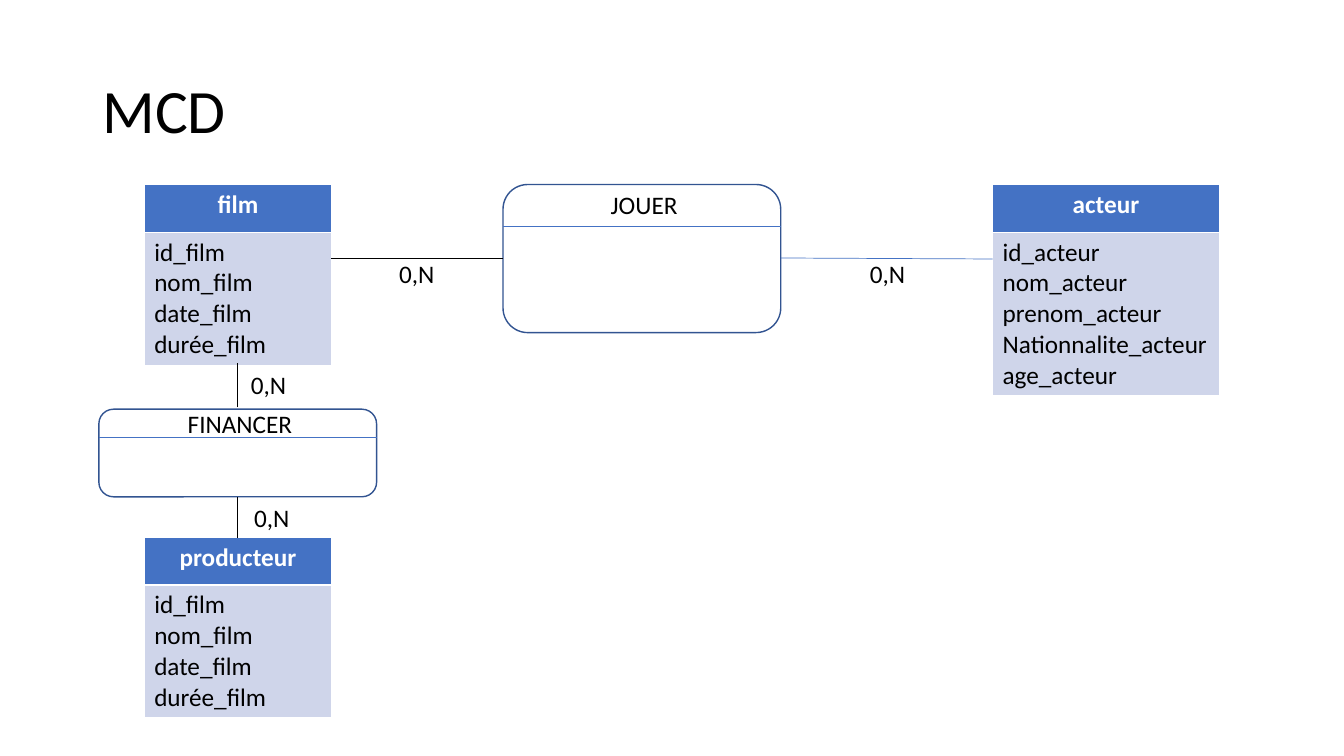
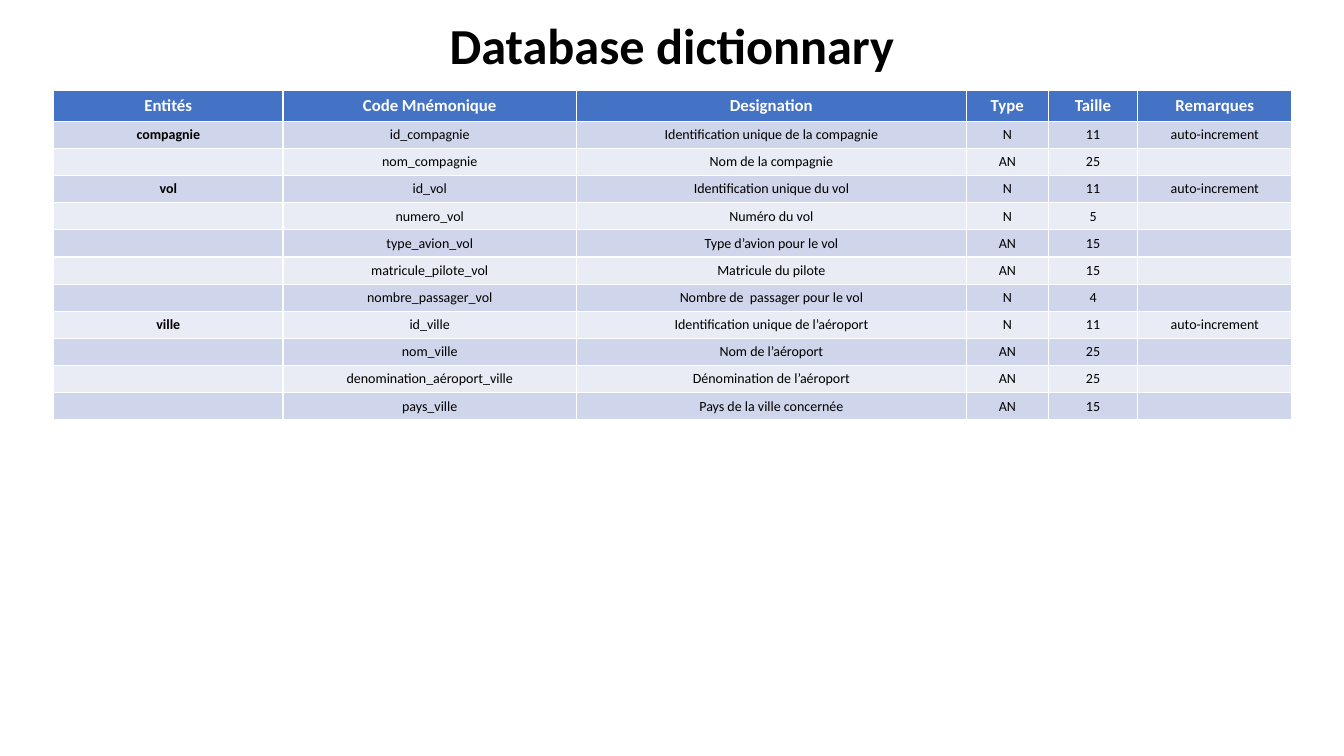
from dataclasses import dataclass

from pptx import Presentation
from pptx.dml.color import RGBColor as RGB
from pptx.enum.shapes import MSO_CONNECTOR as CONNECTOR, MSO_SHAPE as SHAPE
from pptx.enum.text import MSO_ANCHOR as ANCHOR, MSO_AUTO_SIZE as AUTO_SIZE, PP_ALIGN as ALIGN
from pptx.oxml.xmlchemy import OxmlElement
from pptx.util import Pt


@dataclass(frozen=True)
class Theme:
    font: str = "Calibri"
    black: RGB = RGB(0, 0, 0)
    white: RGB = RGB(255, 255, 255)
    blue: RGB = RGB(0x44, 0x72, 0xC4)
    outline: RGB = RGB(0x32, 0x54, 0x91)
    bands: tuple = (RGB(0xCF, 0xD5, 0xEA), RGB(0xE9, 0xEB, 0xF5))
    title: int = 44
    dictionary_title: int = 36
    diagram: int = 18
    heading: int = 12
    cell: int = 10


THEME = Theme()

# Content: model diagram, positions in points
FILM_FIELDS = ["id_film", "nom_film", "date_film", "durée_film"]
ACTEUR_FIELDS = ["id_acteur", "nom_acteur", "prenom_acteur", "Nationnalite_acteur", "age_acteur"]
ENTITIES = [  # name, fields, left, top, width
    ("film", FILM_FIELDS, 103, 132, 134),
    ("acteur", ACTEUR_FIELDS, 709, 132, 162),
    ("producteur", FILM_FIELDS, 103, 384, 134),
]
RELATIONS = [  # name, left, top, height, divider offset, name offset
    ("JOUER", 359.3, 131.8, 105.8, 30.2, 0),
    ("FINANCER", 70.6, 292.3, 62.6, 20.2, -4.3),
]
RELATION_WIDTH, NAME_WIDTH, NAME_INSET = 198.4, 171.4, 15.1
LINKS = [  # start, end, colour
    ((359.3, 184.3), (236.5, 184.3), THEME.black),
    ((558, 184.3), (709, 185), THEME.blue),
    ((169.2, 384), (169.2, 355), THEME.black),
    ((169.2, 291), (169.2, 259), THEME.black),
]
CARDINALITY = "0,N"
CARDINALITY_SPOTS = [(275, 180.7), (611.3, 180.7), (169.2, 260.6), (171.4, 355)]
CARDINALITY_WIDTH, LABEL_HEIGHT = 45.4, 29

# Content: data dictionary
HEADINGS = ["Entités", "Code Mnémonique", "Designation", "Type", "Taille", "Remarques"]
COLUMN_WIDTHS = [164, 209.5, 278.6, 58.5, 64, 110]
AUTO = "auto-increment"
DICTIONARY = {
    "compagnie": [
        ("id_compagnie", "Identification unique de la compagnie", "N", "11", AUTO),
        ("nom_compagnie", "Nom de la compagnie", "AN", "25", ""),
    ],
    "vol": [
        ("id_vol", "Identification unique du vol", "N", "11", AUTO),
        ("numero_vol", "Numéro du vol", "N", "5", ""),
        ("type_avion_vol", "Type d’avion pour le vol", "AN", "15", ""),
        ("matricule_pilote_vol", "Matricule du pilote", "AN", "15", ""),
        ("nombre_passager_vol", "Nombre de  passager pour le vol", "N", "4", ""),
    ],
    "ville": [
        ("id_ville", "Identification unique de l’aéroport", "N", "11", AUTO),
        ("nom_ville", "Nom de l’aéroport", "AN", "25", ""),
        ("denomination_aéroport_ville", "Dénomination de l’aéroport", "AN", "25", ""),
        ("pays_ville", "Pays de la ville concernée", "AN", "15", ""),
    ],
}


# Shared helpers
def set_text(frame, text, size, color=THEME.black, bold=False, align=ALIGN.CENTER):
    frame.text = text
    for paragraph in frame.paragraphs:
        paragraph.alignment = align
        for run in paragraph.runs:
            font = run.font
            font.name, font.size, font.bold = THEME.font, Pt(size), bold
            font.color.rgb = color
        if not paragraph.runs:  # keeps the row of an empty cell low
            end = OxmlElement("a:endParaRPr")
            end.set("sz", str(size * 100))
            paragraph._p.append(end)


def add_titled_slide(deck, text, top, size, **style):
    slide = deck.slides.add_slide(deck.slide_layouts[5])
    title = slide.shapes.title
    title.left, title.top, title.width, title.height = Pt(66), Pt(top), Pt(828), Pt(104.4)
    frame = title.text_frame
    set_text(frame, text, size, **style)
    frame.auto_size = AUTO_SIZE.NONE
    frame.vertical_anchor = ANCHOR.MIDDLE
    frame.paragraphs[0].line_spacing = 0.9
    return slide


def add_grid(slide, left, top, widths, heights):
    grid = slide.shapes.add_table(len(heights), len(widths), Pt(left), Pt(top),
                                  Pt(sum(widths)), Pt(sum(heights))).table
    for column, width in zip(grid.columns, widths):
        column.width = Pt(width)
    for row, height in zip(grid.rows, heights):
        row.height = Pt(height)
    return grid


def fill_cell(cell, text, fill, size, anchor=ANCHOR.TOP, **style):
    cell.fill.solid()
    cell.fill.fore_color.rgb = fill
    cell.vertical_anchor = anchor
    set_text(cell.text_frame, text, size, **style)


def add_line(slide, start, end, color):
    line = slide.shapes.add_connector(CONNECTOR.STRAIGHT, *map(Pt, start + end))
    line.line.color.rgb = color
    line.line.width = Pt(0.5)
    line._element.spPr.append(OxmlElement("a:effectLst"))


def add_label(slide, text, left, top, width):
    box = slide.shapes.add_textbox(Pt(left), Pt(top), Pt(width), Pt(LABEL_HEIGHT))
    box.text_frame.word_wrap = True
    box.text_frame.auto_size = AUTO_SIZE.SHAPE_TO_FIT_TEXT
    set_text(box.text_frame, text, THEME.diagram)


# Diagram parts
def add_entity(slide, name, fields, left, top, width):
    grid = add_grid(slide, left, top, [width], [33.8, 22 * len(fields) + 6])
    fill_cell(grid.cell(0, 0), name, THEME.blue, THEME.diagram, color=THEME.white, bold=True)
    fill_cell(grid.cell(1, 0), "\n".join(fields), THEME.bands[0], THEME.diagram, align=ALIGN.LEFT)


def add_relation(slide, name, left, top, height, divider, name_offset):
    box = slide.shapes.add_shape(SHAPE.ROUNDED_RECTANGLE, Pt(left), Pt(top),
                                 Pt(RELATION_WIDTH), Pt(height))
    box.shadow.inherit = False
    box.fill.background()
    box.line.color.rgb = THEME.outline
    box.line.width = Pt(1)
    y = top + divider
    add_line(slide, (left, y), (left + RELATION_WIDTH, y), THEME.blue)
    add_label(slide, name, left + NAME_INSET, top + name_offset, NAME_WIDTH)


def build_model(deck):
    slide = add_titled_slide(deck, "MCD", 28.8, THEME.title, align=ALIGN.LEFT)
    for entity in ENTITIES:
        add_entity(slide, *entity)
    for relation in RELATIONS:
        add_relation(slide, *relation)
    for link in LINKS:
        add_line(slide, *link)
    for left, top in CARDINALITY_SPOTS:
        add_label(slide, CARDINALITY, left, top, CARDINALITY_WIDTH)


def build_dictionary(deck):
    slide = add_titled_slide(deck, "Database dictionnary", -18, THEME.dictionary_title, bold=True)
    # The entity name shows only on its first row
    rows = [("" if i else entity, *field)
            for entity, fields in DICTIONARY.items() for i, field in enumerate(fields)]
    grid = add_grid(slide, 38.2, 64.8, COLUMN_WIDTHS, [21.6] + [19.4] * len(rows))
    for c, heading in enumerate(HEADINGS):
        fill_cell(grid.cell(0, c), heading, THEME.blue, THEME.heading, ANCHOR.MIDDLE,
                  color=THEME.white, bold=True)
    for r, row in enumerate(rows):
        for c, text in enumerate(row):
            fill_cell(grid.cell(r + 1, c), text, THEME.bands[r % 2], THEME.cell,
                      ANCHOR.MIDDLE, bold=c == 0)


def main():
    deck = Presentation()
    deck.slide_width, deck.slide_height = Pt(960), Pt(540)
    build_model(deck)
    build_dictionary(deck)
    deck.save("out.pptx")


if __name__ == "__main__":
    main()
